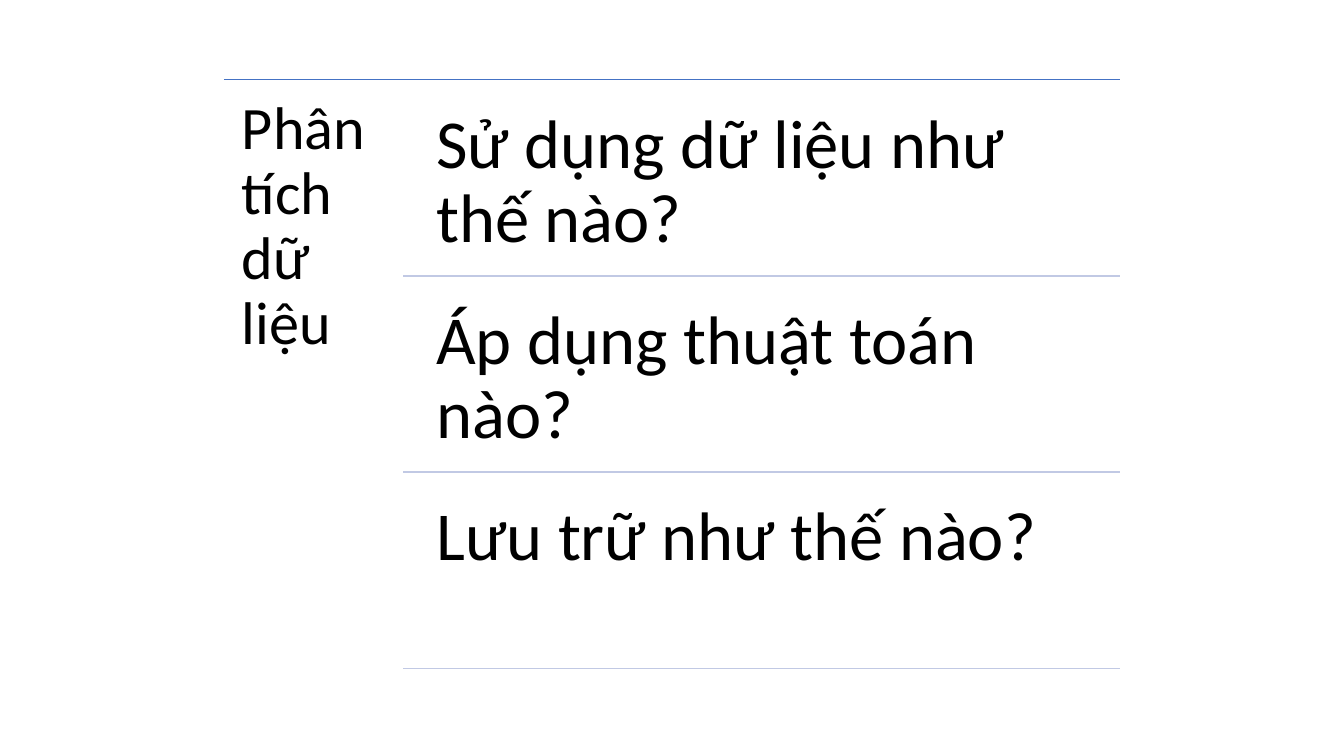
import dataclasses

import lxml.etree
import pptx
import pptx.dml.color
import pptx.enum.shapes
import pptx.enum.text
import pptx.oxml.ns
import pptx.util

Inches = pptx.util.Inches


@dataclasses.dataclass(frozen=True)
class Theme:
    """Colours, font and type sizes of the slide."""
    font: str = "Calibri"
    text: str = "000000"
    top_rule: str = "4472C4"
    row_rule: str = "C1C9E4"
    topic_size: int = 43
    question_size: int = 49


@dataclasses.dataclass(frozen=True)
class Box:
    """A region of the slide in inches."""
    left: float
    top: float
    width: float
    height: float


THEME = Theme()
TOPIC = "Phân tích dữ liệu"
QUESTIONS = [
    "Sử dụng dữ liệu như thế nào?",
    "Áp dụng thuật toán nào?",
    "Lưu trữ như thế nào?",
]


def add_rule(slide, left, right, y, color, weight):
    """Draw a horizontal rule without a shadow."""
    rule = slide.shapes.add_connector(
        pptx.enum.shapes.MSO_CONNECTOR.STRAIGHT,
        Inches(left), Inches(y), Inches(right), Inches(y))
    rule.line.color.rgb = pptx.dml.color.RGBColor.from_string(color)
    rule.line.width = pptx.util.Pt(weight)
    lxml.etree.SubElement(rule._element.spPr, pptx.oxml.ns.qn("a:effectLst"))


def add_label(slide, box, wording, size, inset):
    """Write a top-left aligned label that fills the box."""
    label = slide.shapes.add_textbox(
        Inches(box.left), Inches(box.top), Inches(box.width), Inches(box.height))
    frame = label.text_frame
    frame.word_wrap = True
    frame.vertical_anchor = pptx.enum.text.MSO_ANCHOR.TOP
    frame.margin_left = frame.margin_right = Inches(inset)
    frame.margin_top = frame.margin_bottom = Inches(inset)
    paragraph = frame.paragraphs[0]
    paragraph.text = wording
    paragraph.line_spacing = 0.9
    paragraph.font.name = THEME.font
    paragraph.font.size = pptx.util.Pt(size)
    paragraph.font.color.rgb = pptx.dml.color.RGBColor.from_string(THEME.text)


def add_questions(slide, box, questions):
    """Stack the questions in equal rows, each closed by a rule."""
    indent, gap = 0.13, 0.09
    row_height = (box.height - gap * (len(questions) + 1)) / len(questions)
    for index, question in enumerate(questions):
        top = box.top + gap + index * (row_height + gap)
        row = Box(box.left + indent, top, box.width - indent, row_height)
        add_label(slide, row, question, THEME.question_size, 0.2)
        add_rule(slide, box.left, box.left + box.width, top + row_height,
                 THEME.row_rule, 1)


def add_topic_list(slide, box, topic, questions):
    """Place a topic column beside its questions under a full-width rule."""
    topic_width = box.width / 5
    add_rule(slide, box.left, box.left + box.width, box.top, THEME.top_rule, 0.5)
    add_label(slide, Box(box.left, box.top, topic_width, box.height),
              topic, THEME.topic_size, 0.18)
    add_questions(slide, Box(box.left + topic_width, box.top,
                             box.width - topic_width, box.height), questions)


def main():
    """Build and save the presentation."""
    presentation = pptx.Presentation()
    presentation.slide_width = Inches(13.33)
    presentation.slide_height = Inches(7.5)
    slide = presentation.slides.add_slide(presentation.slide_layouts[6])
    add_topic_list(slide, Box(2.22, 0.79, 8.89, 5.93), TOPIC, QUESTIONS)
    presentation.save("out.pptx")


if __name__ == "__main__":
    main()
